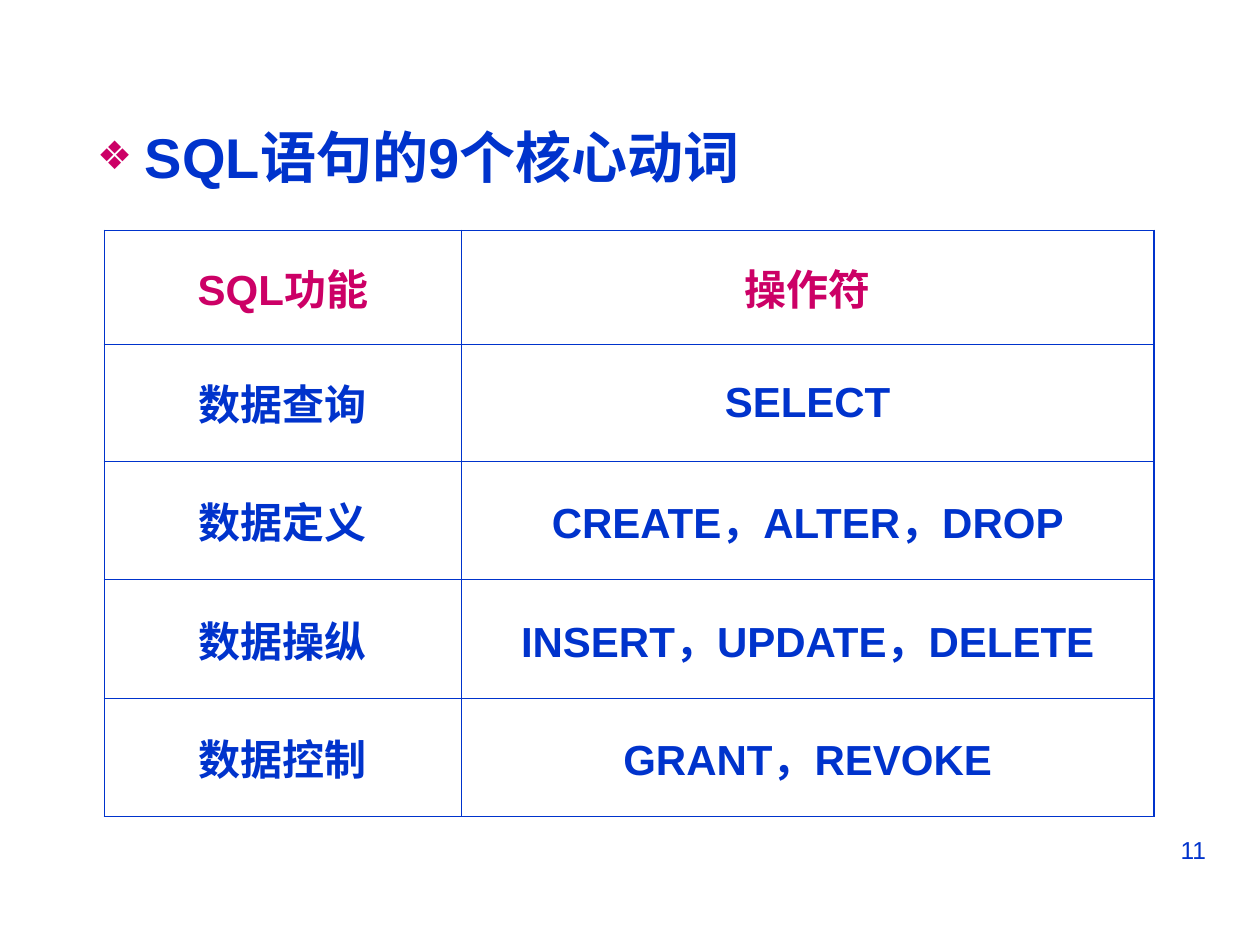
from lxml.etree import SubElement
from pptx import Presentation
from pptx.dml.color import RGBColor
from pptx.enum.text import MSO_ANCHOR, MSO_AUTO_SIZE, PP_ALIGN
from pptx.oxml import parse_xml
from pptx.oxml.ns import nsdecls, qn
from pptx.util import Inches, Pt

COLORS = {"blue": "0033CC", "magenta": "CC0066"}
FONT = "Arial"
THICK, THIN = 1.08, 0.45
COLUMN_WIDTHS = [2.83, 5.5]
ROW_HEIGHTS = [0.9, 0.93, 0.94, 0.94, 0.94]
VERBS = [
    ("SQL功能", "操作符"),
    ("数据查询", "SELECT"),
    ("数据定义", "CREATE，ALTER，DROP"),
    ("数据操纵", "INSERT，UPDATE，DELETE"),
    ("数据控制", "GRANT，REVOKE"),
]


def add_run(paragraph, text, size, color, bold=False):
    run = paragraph.add_run()
    run.text = text
    run.font.name = FONT
    run.font.size = Pt(size)
    run.font.bold = bold
    run.font.color.rgb = RGBColor.from_string(COLORS[color])


def add_bullet(paragraph):
    properties = paragraph._p.get_or_add_pPr()
    properties.set("marL", str(Inches(0.38)))
    properties.set("indent", str(-Inches(0.38)))
    color = SubElement(properties, qn("a:buClr"))
    SubElement(color, qn("a:srgbClr"), val=COLORS["magenta"])
    SubElement(properties, qn("a:buSzPct"), val="70000")
    SubElement(properties, qn("a:buChar"), char="❖")


def add_heading(slide, text):
    slide.shapes.title._element.getparent().remove(slide.shapes.title._element)
    body = slide.placeholders[1]
    body.left, body.top = Inches(0.67), Inches(0.92)
    body.width, body.height = Inches(8.5), Inches(0.92)
    body.text_frame.auto_size = MSO_AUTO_SIZE.NONE
    paragraph = body.text_frame.paragraphs[0]
    add_bullet(paragraph)
    paragraph.space_before = Pt(0)
    add_run(paragraph, text, 32, "blue", bold=True)


def set_borders(cell, widths):
    properties = cell._tc.get_or_add_tcPr()
    for position, (side, width) in enumerate(widths.items()):
        line = parse_xml(
            f'<a:ln{side} {nsdecls("a")} w="{Pt(width)}"><a:solidFill>'
            f'<a:srgbClr val="{COLORS["blue"]}"/></a:solidFill></a:ln{side}>'
        )
        properties.insert(position, line)


def fill_cell(cell, text, color):
    cell.fill.background()
    cell.vertical_anchor = MSO_ANCHOR.MIDDLE
    paragraph = cell.text_frame.paragraphs[0]
    paragraph.alignment = PP_ALIGN.CENTER
    add_run(paragraph, text, 24, color, bold=True)


def add_verb_table(slide):
    row_count, column_count = len(VERBS), len(COLUMN_WIDTHS)
    table = slide.shapes.add_table(
        row_count, column_count, Inches(0.83), Inches(1.83),
        Inches(sum(COLUMN_WIDTHS)), Inches(sum(ROW_HEIGHTS)),
    ).table
    table.horz_banding = False
    for column, width in zip(table.columns, COLUMN_WIDTHS):
        column.width = Inches(width)
    for row_index, values in enumerate(VERBS):
        table.rows[row_index].height = Inches(ROW_HEIGHTS[row_index])
        for column_index, text in enumerate(values):
            cell = table.cell(row_index, column_index)
            fill_cell(cell, text, "blue" if row_index else "magenta")
            set_borders(cell, {
                "L": THICK if column_index == 0 else THIN,
                "R": THICK if column_index == column_count - 1 else THIN,
                "T": THICK if row_index == 0 else THIN,
                "B": THICK if row_index == row_count - 1 else THIN,
            })


def add_page_number(slide, number):
    box = slide.shapes.add_textbox(Inches(7.17), Inches(6.58), Inches(2.5), Inches(0.52))
    box.text_frame.word_wrap = True
    paragraph = box.text_frame.paragraphs[0]
    paragraph.alignment = PP_ALIGN.RIGHT
    add_run(paragraph, number, 14, "blue")


def main():
    presentation = Presentation()
    presentation.slide_width, presentation.slide_height = Inches(10), Inches(7.5)
    slide = presentation.slides.add_slide(presentation.slide_layouts[1])
    add_page_number(slide, "11")
    add_verb_table(slide)
    add_heading(slide, "SQL语句的9个核心动词")
    presentation.save("out.pptx")


if __name__ == "__main__":
    main()
